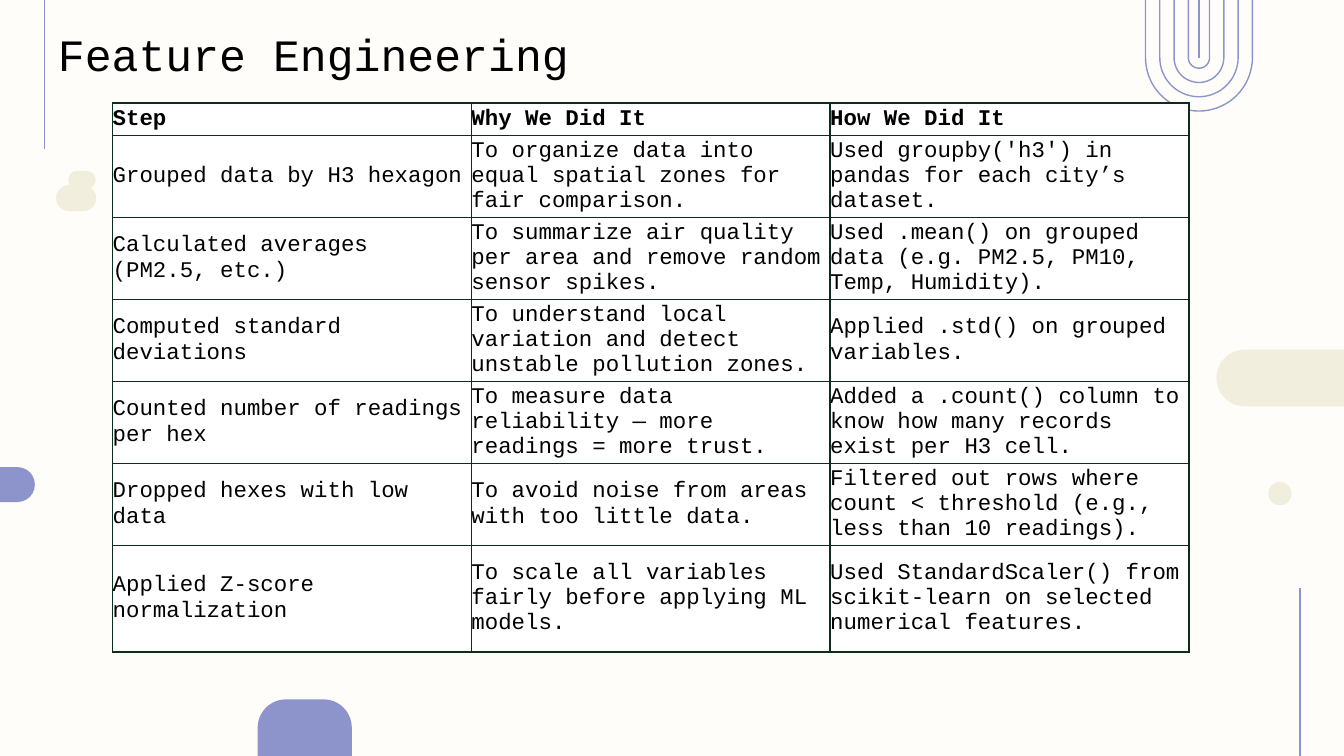
import math

import pptx
import pptx.dml.color
import pptx.enum.shapes
import pptx.enum.text
import pptx.oxml
import pptx.oxml.ns
import pptx.util

Cm, Pt = pptx.util.Cm, pptx.util.Pt
SHAPES = pptx.enum.shapes.MSO_SHAPE

FONT = "Courier New"
CREAM, SAND, LILAC = "FFFDF9", "F1EEDD", "8D94CC"
WHITE, BLACK, DARK_GREEN = "FFFFFF", "000000", "0F2B1C"
HAIRLINE = Pt(0.75)

STEPS = [
    ("Step", "Why We Did It", "How We Did It"),
    ("Grouped data by H3 hexagon",
     "To organize data into equal spatial zones for fair comparison.",
     "Used groupby('h3') in pandas for each city’s dataset."),
    ("Calculated averages (PM2.5, etc.)",
     "To summarize air quality per area and remove random sensor spikes.",
     "Used .mean() on grouped data (e.g. PM2.5, PM10, Temp, Humidity)."),
    ("Computed standard deviations",
     "To understand local variation and detect unstable pollution zones.",
     "Applied .std() on grouped variables."),
    ("Counted number of readings per hex",
     "To measure data reliability — more readings = more trust.",
     "Added a .count() column to know how many records exist per H3 cell."),
    ("Dropped hexes with low data",
     "To avoid noise from areas with too little data.",
     "Filtered out rows where count < threshold (e.g., less than 10 readings)."),
    ("Applied Z-score normalization",
     "To scale all variables fairly before applying ML models.",
     "Used StandardScaler() from scikit-learn on selected numerical features."),
]
ROW_HEIGHTS = [0.61] + [1.55] * 5 + [2.01]


def color(hex_value):
    return pptx.dml.color.RGBColor.from_string(hex_value)


def add_run(paragraph, text, size, bold=False):
    run = paragraph.add_run()
    run.text = text
    run.font.name = FONT
    run.font.size = Pt(size)
    run.font.bold = bold
    run.font.color.rgb = color(BLACK)


def add_blob(slide, preset, box, fill, rotation=0):
    blob = slide.shapes.add_shape(preset, *map(Cm, box))
    blob.shadow.inherit = False
    blob.fill.solid()
    blob.fill.fore_color.rgb = color(fill)
    blob.line.fill.background()
    blob.rotation = rotation
    if len(blob.adjustments):
        blob.adjustments[0] = 0.5


def add_rule(slide, x, top, bottom):
    rule = slide.shapes.add_connector(
        pptx.enum.shapes.MSO_CONNECTOR.STRAIGHT, Cm(x), Cm(top), Cm(x), Cm(bottom))
    rule.line.color.rgb = color(LILAC)
    rule.line.width = HAIRLINE
    properties = rule._element.spPr
    properties.append(properties.makeelement(pptx.oxml.ns.qn("a:effectLst"), {}))


def add_arches(slide, box):
    """Nested U-shaped outlines hanging from the top of the box around a centre line."""
    left, top, width, height = box
    outer = width / 2
    center_x, center_y = left + outer, top + height - outer
    gap = 0.27
    for ring in range(4):
        radius = outer - ring * gap
        arc = [(center_x + radius * math.cos(math.radians(angle)),
                center_y + radius * math.sin(math.radians(angle)))
               for angle in range(0, 181, 5)]
        points = [(Cm(x), Cm(y)) for x, y in arc + [(center_x - radius, top)]]
        builder = slide.shapes.build_freeform(Cm(center_x + radius), Cm(top))
        builder.add_line_segments(points, close=False)
        arch = builder.convert_to_shape()
        arch.shadow.inherit = False
        arch.fill.background()
        arch.line.color.rgb = color(LILAC)
        arch.line.width = HAIRLINE
    add_rule(slide, center_x, top, center_y)


def add_decoration(slide, box):
    left, top, width, height = box
    right, bottom = left + width, top + height
    add_blob(slide, SHAPES.FLOWCHART_DELAY, (left, 8.83, 0.66, 0.66), LILAC)
    add_blob(slide, SHAPES.OVAL, (23.97, 9.11, 0.44, 0.44), SAND)
    add_blob(slide, SHAPES.ROUND_2_SAME_RECTANGLE,
             (right - 1.74, 5.94, 1.07, 2.41), SAND, rotation=270)
    add_blob(slide, SHAPES.ROUND_2_SAME_RECTANGLE,
             (4.87, bottom - 1.07, 1.78, 1.07), LILAC)
    add_blob(slide, SHAPES.ROUNDED_RECTANGLE, (1.29, 3.23, 0.52, 0.34), SAND)
    add_blob(slide, SHAPES.ROUNDED_RECTANGLE, (1.06, 3.5, 0.76, 0.49), SAND)
    add_rule(slide, 0.84, top, 2.82)
    add_rule(slide, 24.57, 11.11, bottom)
    add_arches(slide, (21.65, top, 2.02, 2.1))


def add_title(slide, box):
    title = slide.shapes.title
    title.left, title.top, title.width, title.height = map(Cm, box)
    frame = title.text_frame
    frame.word_wrap = True
    frame.vertical_anchor = pptx.enum.text.MSO_ANCHOR.TOP
    frame.auto_size = pptx.enum.text.MSO_AUTO_SIZE.SHAPE_TO_FIT_TEXT
    heading = frame.paragraphs[0]
    heading.alignment = pptx.enum.text.PP_ALIGN.LEFT
    add_run(heading, "Feature Engineering", 24)


def add_borders(cell):
    properties = cell._tc.get_or_add_tcPr()
    for side in ("lnL", "lnR", "lnT", "lnB"):
        properties.append(pptx.oxml.parse_xml(
            f'<a:{side} {pptx.oxml.ns.nsdecls("a")} w="{Pt(1)}"><a:solidFill>'
            f'<a:srgbClr val="{DARK_GREEN}"/></a:solidFill></a:{side}>'))


def add_steps_table(slide, box):
    column_count = len(STEPS[0])
    table = slide.shapes.add_table(len(STEPS), column_count, *map(Cm, box)).table
    table.first_row = table.horz_banding = False
    for column in table.columns:
        column.width = Cm(box[2] / column_count)
    for row, height, texts in zip(table.rows, ROW_HEIGHTS, STEPS):
        row.height = Cm(height)
        for cell, text in zip(row.cells, texts):
            cell.margin_left = cell.margin_right = 0
            cell.margin_top = cell.margin_bottom = 0
            cell.vertical_anchor = pptx.enum.text.MSO_ANCHOR.MIDDLE
            add_borders(cell)
            cell.fill.solid()
            cell.fill.fore_color.rgb = color(WHITE)
            add_run(cell.text_frame.paragraphs[0], text, 12, bold=texts is STEPS[0])


def main():
    presentation = pptx.Presentation()
    presentation.slide_width, presentation.slide_height = Cm(25.4), Cm(14.29)
    slide = presentation.slides.add_slide(presentation.slide_layouts.get_by_name("Title Only"))
    slide.background.fill.solid()
    slide.background.fill.fore_color.rgb = color(CREAM)
    add_decoration(slide, (0, 0, 25.4, 14.29))
    add_steps_table(slide, (2.13, 1.95, 20.34, sum(ROW_HEIGHTS)))
    add_title(slide, (0.84, 0.38, 16.28, 1.27))
    presentation.save("out.pptx")


if __name__ == "__main__":
    main()
